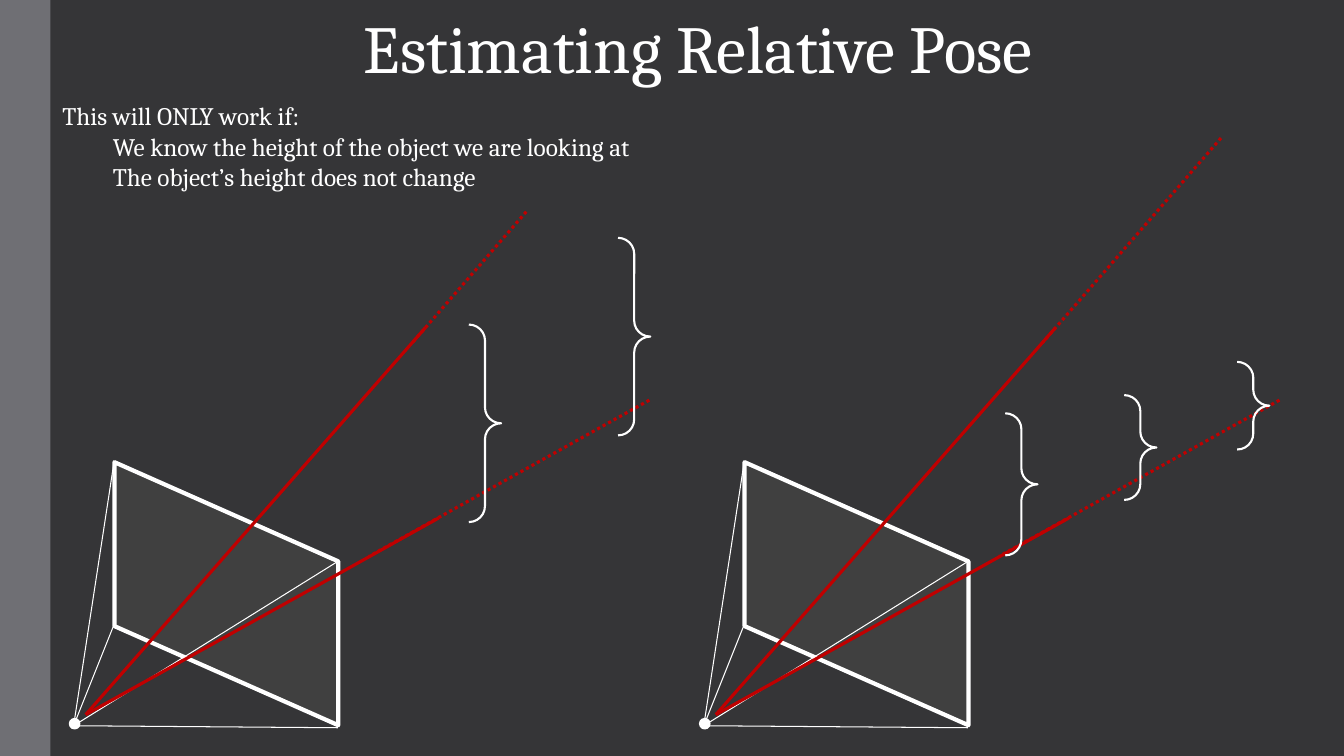
from pptx import Presentation
from pptx.dml.color import RGBColor
from pptx.enum.dml import MSO_LINE_DASH_STYLE as DASH
from pptx.enum.shapes import MSO_CONNECTOR as CONNECTOR, MSO_SHAPE as SHAPE
from pptx.enum.text import MSO_AUTO_SIZE as AUTO_SIZE, PP_ALIGN as ALIGN
from pptx.oxml.ns import qn
from pptx.util import Inches, Pt

COLORS = {
    "background": "353537",
    "sidebar": "6F6F74",
    "plane": "404040",
    "white": "FFFFFF",
    "ray": "C00000",
}
FONT = "Cambria"


def color(name):
    """Return the named colour."""
    return RGBColor.from_string(COLORS[name])


def set_line(line, name, width, dash=None):
    """Set the colour, width and dash of a line."""
    line.color.rgb = color(name)
    for key, value in {"width": Pt(width), "dash_style": dash}.items():
        setattr(line, key, value)


def add_shape(slide, kind, box, fill=None, line=None, width=1):
    """Add a flat preset shape with an optional fill and outline."""
    shape = slide.shapes.add_shape(kind, *map(Inches, box))
    shape.shadow.inherit = False
    if fill:
        shape.fill.solid()
        shape.fill.fore_color.rgb = color(fill)
    else:
        shape.fill.background()
    if line:
        set_line(shape.line, line, width)
    else:
        shape.line.fill.background()
    return shape


def add_line(slide, start, end, name, width, dash=None):
    """Add a straight connector without a shadow."""
    connector = slide.shapes.add_connector(
        CONNECTOR.STRAIGHT, *map(Inches, (*start, *end)))
    properties = connector._element.spPr
    set_line(connector.line, name, width, dash)
    properties.append(properties.makeelement(qn("a:effectLst"), {}))


def add_text(slide, box, lines, size, align):
    """Add a text box from pairs of wording and left indent in inches."""
    textbox = slide.shapes.add_textbox(*map(Inches, box))
    frame = textbox.text_frame
    frame.word_wrap = True
    frame.auto_size = AUTO_SIZE.SHAPE_TO_FIT_TEXT
    for index, (wording, indent) in enumerate(lines):
        paragraph = frame.paragraphs[0] if index == 0 else frame.add_paragraph()
        paragraph.alignment = align
        if indent:
            paragraph._p.get_or_add_pPr().set("marL", str(Inches(indent)))
        run = paragraph.add_run()
        run.text = wording
        for key, value in {"name": FONT, "size": Pt(size)}.items():
            setattr(run.font, key, value)
        run.font.color.rgb = color("white")


def add_camera(slide, left, top, upper_end, braces):
    """Draw a camera, its two sight rays and the object heights from a corner."""
    def at(x, y):
        return left + x, top + y

    add_line(slide, at(6.19, 1.87), at(3.41, 3.42), "ray", 2.25, DASH.ROUND_DOT)
    add_line(slide, at(*upper_end), at(3.84, 1.3), "ray", 2.25, DASH.ROUND_DOT)

    plane = add_shape(slide, SHAPE.PARALLELOGRAM, (*at(0.69, 2.68), 2.61, 2.22),
                      "plane", "white", 3)
    plane.rotation = 270
    plane.adjustments[0] = 0.443

    for corner in ((3.1, 3.47), (0.88, 2.49), (3.1, 5.12), (0.88, 4.1)):
        add_line(slide, at(*corner), at(0.48, 5.1), "white", 0.75)
    add_shape(slide, SHAPE.OVAL, (*at(0.44, 5.03), 0.1, 0.1), "white", "white", 1.1)

    for ray_end in ((3.97, 1.15), (4.1, 3.04)):
        add_line(slide, at(*ray_end), at(0.6, 4.99), "ray", 2.25)

    for x, y, height in braces:
        brace = add_shape(slide, SHAPE.RIGHT_BRACE, (*at(x, y), 0.32, height),
                          line="white", width=1.5)
        brace.adjustments[0] = 0.495
        brace.adjustments[1] = 0.5


def build_slide(presentation):
    """Build the relative pose slide."""
    slide = presentation.slides.add_slide(presentation.slide_layouts[6])
    slide.background.fill.solid()
    slide.background.fill.fore_color.rgb = color("background")
    add_shape(slide, SHAPE.RECTANGLE, (0, 0, 0.5, 7.5), "sidebar")
    add_text(slide, (0.52, 0.01, 12.81, 0.91),
             [("Estimating Relative Pose", 0)], 48, ALIGN.CENTER)
    add_text(slide, (0.52, 0.95, 12.61, 1.01), [
        ("This will ONLY work if:", 0),
        ("We know the height of the object we are looking at", 0.5),
        ("The object’s height does not change", 0.5),
    ], 18, ALIGN.LEFT)
    add_camera(slide, 0.25, 2.1, (4.97, 0),
               [(4.4, 1.12, 1.96), (5.88, 0.26, 1.96)])
    add_camera(slide, 6.5, 2.1, (5.61, -0.73),
               [(3.47, 2, 1.41), (4.65, 1.82, 1.04), (5.77, 1.49, 0.87)])


def main():
    """Create and save the presentation."""
    presentation = Presentation()
    presentation.slide_width = Inches(13.33)
    presentation.slide_height = Inches(7.5)
    build_slide(presentation)
    presentation.save("out.pptx")


if __name__ == "__main__":
    main()
